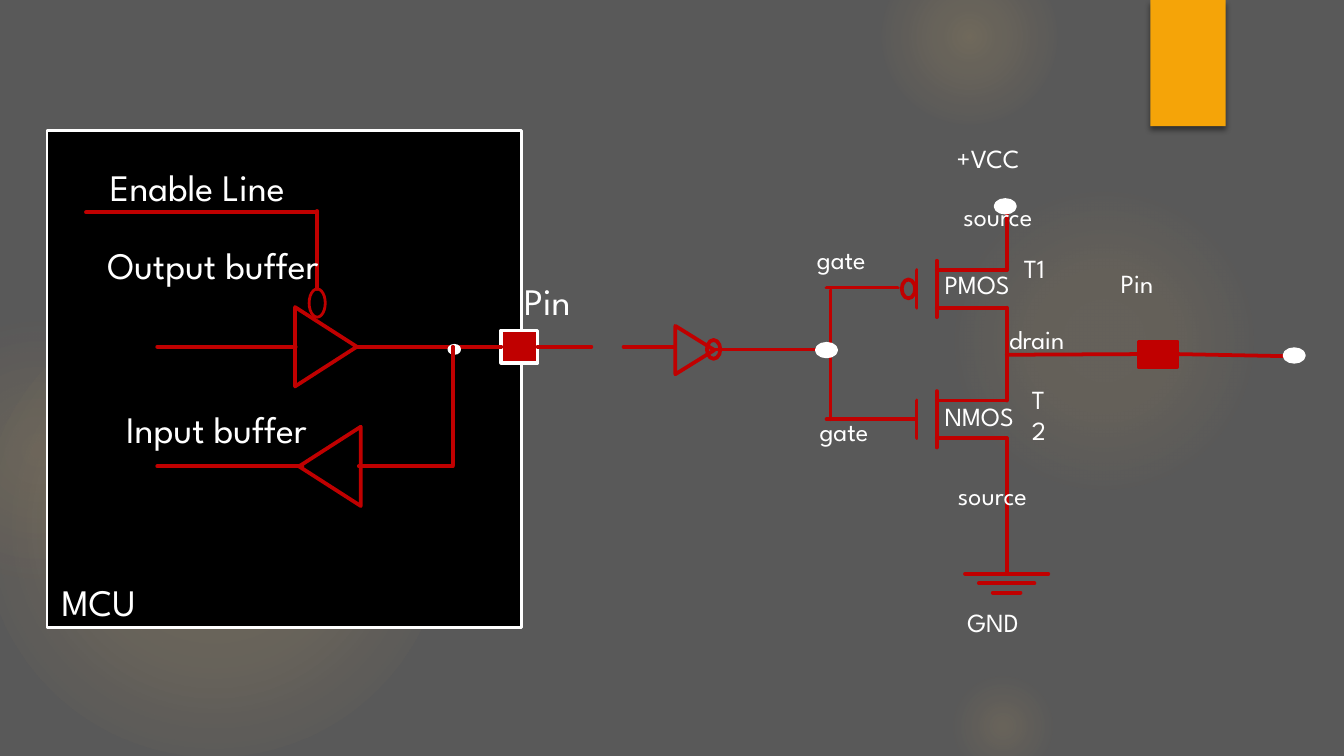
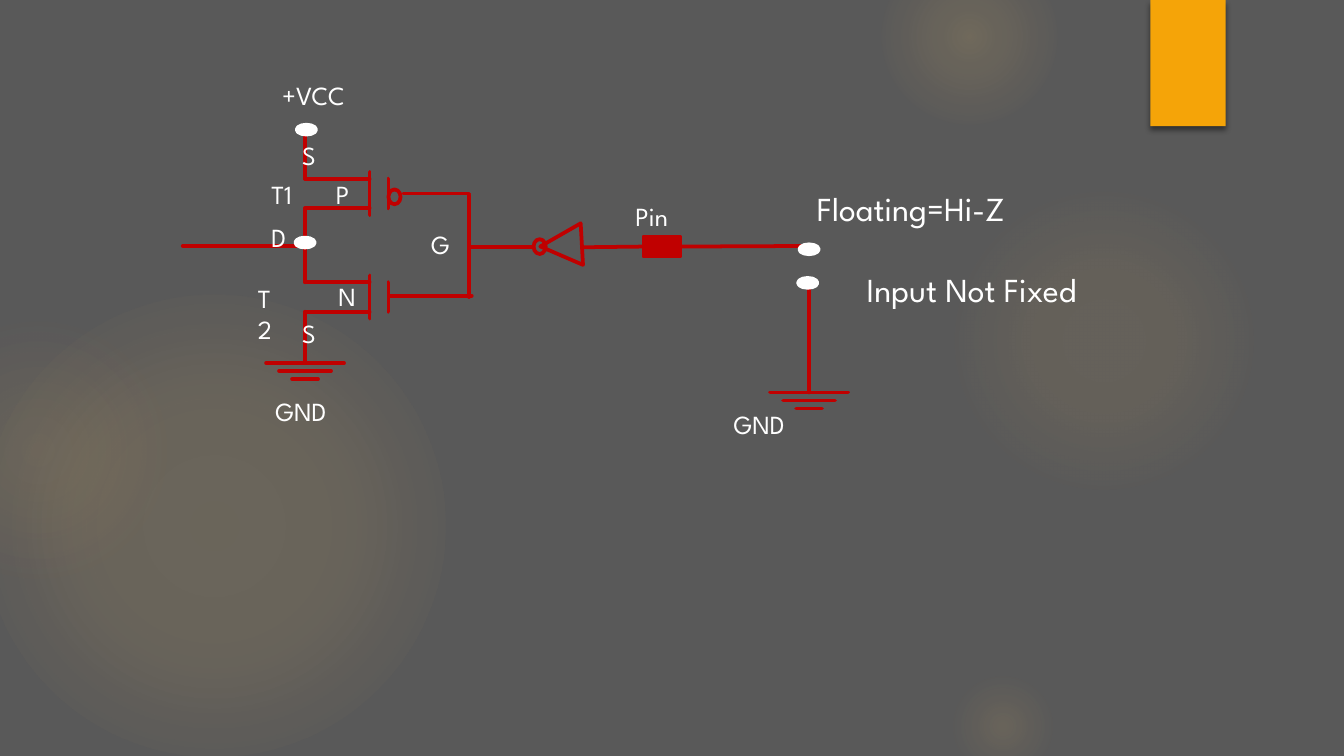
from dataclasses import dataclass
from typing import NamedTuple, Optional

from lxml.etree import SubElement
from pptx import Presentation
from pptx.dml.color import RGBColor
from pptx.enum.shapes import MSO_CONNECTOR as Connector, MSO_SHAPE as Preset
from pptx.enum.text import MSO_ANCHOR as Anchor
from pptx.oxml import parse_xml
from pptx.oxml.ns import nsdecls, qn
from pptx.util import Inches, Pt

SLIDE_WIDTH = Inches(10)
SLIDE_HEIGHT = SLIDE_WIDTH * 9 // 16
GREY = RGBColor(0x59, 0x59, 0x59)
BLACK = RGBColor(0, 0, 0)
WHITE = RGBColor(0xFF, 0xFF, 0xFF)
RED = RGBColor(0xC0, 0, 0)
ORANGE = RGBColor(0xF5, 0xA4, 0x08)
GOLD = RGBColor(0xFA, 0xC9, 0x6A)
CORAL = RGBColor(0xF5, 0x9B, 0x74)
FONT = "League Spartan"
LEFT_SIDE, RIGHT_SIDE = 1, 3
FIRST_MASTER_ID = 100


class Wire(NamedTuple):
    x1: float
    y1: float
    x2: float
    y2: float


class Label(NamedTuple):
    text: str
    left: float
    top: float
    width: float


class Glow(NamedTuple):
    left: float
    top: float
    size: float
    stops: tuple  # (position %, opacity %)
    edge: RGBColor = GOLD


@dataclass
class Transistor:
    channel_x: float
    plate_x: float
    rail_x: float
    top: float
    bottom: float
    overhang: float


@dataclass
class Ground:
    x: float
    y: float
    width: float
    gap: float
    stub: float


GLOWS = [
    Glow(-0.13, 2.19, 3.44, ((0, 11), (36, 10), (75, 0))),
    Glow(-0.69, 2.38, 1.94, ((0, 8), (36, 5), (71, 0)), CORAL),
    Glow(7.06, 1.38, 2.31, ((0, 7), (36, 6), (69, 0))),
    Glow(6.56, -0.38, 1.31, ((0, 14), (36, 7), (73, 0))),
    Glow(7.06, 5, 0.81, ((0, 10), (31, 5), (66, 0))),
]


# Drawing helpers
def add_preset(slide, preset, left: float, top: float, width: float, height: float, *,
               fill: Optional[RGBColor] = None, line: Optional[RGBColor] = RED,
               weight: float = 2, rotation: float = 0):
    shape = slide.shapes.add_shape(preset, Inches(left), Inches(top), Inches(width), Inches(height))
    shape.shadow.inherit = False
    shape.rotation = rotation
    if fill is None:
        shape.fill.background()
    else:
        shape.fill.solid()
        shape.fill.fore_color.rgb = fill
    if line is None:
        shape.line.fill.background()
    else:
        shape.line.color.rgb = line
        shape.line.width = Pt(weight)
    return shape


def add_wire(slide, wire: Wire, start=None, end=None) -> None:
    """Draw a wire; start and end are optional (shape, side) joints."""
    connector = slide.shapes.add_connector(Connector.STRAIGHT, *(Inches(value) for value in wire))
    connector.line.color.rgb = RED
    connector.line.width = Pt(2)
    properties = connector.element.spPr
    properties.find(qn("a:ln")).set("cap", "rnd")
    SubElement(properties, qn("a:effectLst"))
    if start:
        connector.begin_connect(*start)
    if end:
        connector.end_connect(*end)


def add_wires(slide, wires: list[Wire]) -> None:
    for wire in wires:
        add_wire(slide, wire)


def add_text(slide, text: str, left: float, top: float, width: float, *,
             size: float = 14, color: RGBColor = WHITE, height: float = 0.34) -> None:
    box = slide.shapes.add_textbox(Inches(left), Inches(top), Inches(width), Inches(height))
    frame = box.text_frame
    frame.word_wrap = True
    frame.vertical_anchor = Anchor.TOP
    frame.text = text
    font = frame.paragraphs[0].runs[0].font
    font.name, font.size, font.color.rgb = FONT, Pt(size), color


def add_labels(slide, labels: list[Label], **style) -> None:
    for label in labels:
        add_text(slide, *label, **style)


# Circuit symbols
def add_nodes(slide, places: list[tuple[float, float]], height: float) -> None:
    for left, top in places:
        add_preset(slide, Preset.OVAL, left, top, 0.14, height, fill=WHITE, line=WHITE, weight=2.25)


def add_transistor(slide, part: Transistor) -> None:
    channel, plate, rail = part.channel_x, part.plate_x, part.rail_x
    add_wires(slide, [
        Wire(channel, part.top - part.overhang, channel, part.bottom + part.overhang),
        Wire(plate, part.top, plate, part.bottom),
        Wire(channel, part.top, rail, part.top),
        Wire(channel, part.bottom, rail, part.bottom),
    ])


def add_ground(slide, ground: Ground) -> None:
    add_wire(slide, Wire(ground.x, ground.y - ground.stub, ground.x, ground.y))
    for index in range(3):
        half = ground.width * (3 - index) / 6
        y = ground.y + index * ground.gap
        add_wire(slide, Wire(ground.x - half, y, ground.x + half, y))


def add_triangle(slide, left: float, top: float, width: float, height: float, rotation: float) -> None:
    add_preset(slide, Preset.ISOSCELES_TRIANGLE, left, top, width, height, rotation=rotation)


# Shared backdrop, kept on the slide master
def add_glow(slide, glow: Glow):
    shape = add_preset(slide, Preset.OVAL, glow.left, glow.top, glow.size, glow.size, line=None)
    colors = (GOLD, GOLD, glow.edge)
    stops = "".join(
        f'<a:gs pos="{position * 1000}"><a:srgbClr val="{color}">'
        f'<a:alpha val="{opacity * 1000}"/></a:srgbClr></a:gs>'
        for (position, opacity), color in zip(glow.stops, colors))
    gradient = parse_xml(
        f'<a:gradFill {nsdecls("a")}><a:gsLst>{stops}</a:gsLst><a:path path="circle">'
        '<a:fillToRect l="50000" t="50000" r="50000" b="50000"/></a:path></a:gradFill>')
    properties = shape.element.spPr
    properties.replace(properties.find(qn("a:noFill")), gradient)
    return shape


def add_ribbon(slide):
    ribbon = add_preset(slide, Preset.RECTANGLE, 8.56, 0, 0.56, 0.94, fill=ORANGE, line=None)
    ribbon.element.spPr.find(qn("a:effectLst")).append(parse_xml(
        f'<a:outerShdw {nsdecls("a")} blurRad="{Pt(3)}" dist="{Pt(2)}" dir="5400000" rotWithShape="0">'
        f'<a:srgbClr val="{BLACK}"><a:alpha val="45000"/></a:srgbClr></a:outerShdw>'))
    return ribbon


def build_backdrop(presentation, slide) -> None:
    master = presentation.slide_master
    master.background.fill.solid()
    master.background.fill.fore_color.rgb = GREY
    decorations = [add_glow(slide, glow) for glow in GLOWS] + [add_ribbon(slide)]
    for shape_id, shape in enumerate(decorations, FIRST_MASTER_ID):
        shape.element.nvSpPr.cNvPr.set("id", str(shape_id))
        master.shapes.element.append(shape.element)


# Slide 1: microcontroller pin with its buffers
def draw_microcontroller(slide) -> None:
    add_preset(slide, Preset.RECTANGLE, 0.35, 0.97, 3.53, 3.7, fill=BLACK, line=WHITE, weight=1.5)
    add_triangle(slide, 2.16, 3.24, 0.59, 0.46, 270)
    add_triangle(slide, 2.13, 2.35, 0.59, 0.46, 90)
    add_preset(slide, Preset.OVAL, 2.3, 2.15, 0.12, 0.21, weight=1.5)
    add_wires(slide, [
        Wire(1.17, 3.47, 2.25, 3.47),
        Wire(3.37, 3.47, 2.67, 3.47),
        Wire(1.17, 2.58, 2.2, 2.58),
        Wire(0.64, 1.58, 2.36, 1.58),
        Wire(2.36, 2.15, 2.36, 1.57),
    ])
    pin = add_preset(slide, Preset.RECTANGLE, 3.73, 2.46, 0.27, 0.24, fill=RED, line=WHITE)
    add_wire(slide, Wire(3.73, 2.58, 2.66, 2.58), start=(pin, LEFT_SIDE))
    add_preset(slide, Preset.OVAL, 3.34, 2.57, 0.08, 0.06, fill=WHITE, line=WHITE, weight=1.5)
    add_wire(slide, Wire(3.37, 3.46, 3.37, 2.58))
    add_wire(slide, Wire(4.4, 2.58, 4, 2.58), end=(pin, RIGHT_SIDE))
    add_labels(slide, [
        Label("Enable Line", 0.72, 1.17, 1.76),
        Label("Output buffer", 0.7, 1.75, 2.05),
        Label("Input buffer", 0.84, 2.97, 1.77),
        Label("Pin", 3.8, 2.02, 0.6),
        Label("MCU", 0.36, 4.26, 0.87),
    ], size=20, height=0.44)


# Slide 1: push-pull output stage
def draw_output_stage(slide) -> None:
    rail = 7.49
    for top in (2.01, 2.98):
        add_transistor(slide, Transistor(6.97, 6.82, rail, top, top + 0.28, 0.07))
    add_preset(slide, Preset.OVAL, 6.71, 2.08, 0.1, 0.14)
    add_wires(slide, [
        Wire(6.81, 3.12, 6.15, 3.12),
        Wire(6.68, 2.14, 6.15, 2.14),
        Wire(6.18, 2.16, 6.18, 3.12),
        Wire(5.31, 2.6, 6.08, 2.6),
        Wire(rail, 2.29, rail, 2.98),
        Wire(rail, 3.26, rail, 4.19),
        Wire(rail, 1.59, rail, 2.01),
    ])
    add_ground(slide, Ground(rail, 4.27, 0.62, 0.07, 0.08))
    pin = add_preset(slide, Preset.RECTANGLE, 8.47, 2.54, 0.29, 0.19, fill=RED)
    add_wire(slide, Wire(rail, 2.64, 8.47, 2.63), end=(pin, LEFT_SIDE))
    add_wire(slide, Wire(8.76, 2.65, 9.56, 2.65), start=(pin, RIGHT_SIDE))
    add_nodes(slide, [(6.08, 2.56), (9.56, 2.6), (7.41, 1.49)], 0.09)
    add_triangle(slide, 4.99, 2.46, 0.36, 0.29, 90)
    add_preset(slide, Preset.OVAL, 5.26, 2.53, 0.1, 0.14)
    add_wire(slide, Wire(4.64, 2.58, 5.02, 2.58))
    add_labels(slide, [
        Label("GND", 7.1, 4.46, 0.66),
        Label("+VCC", 7.02, 1.01, 0.78),
        Label("Pin", 8.24, 1.94, 0.48),
        Label("T1", 7.52, 1.83, 0.39),
        Label("T2", 7.58, 2.8, 0.39),
        Label("gate", 5.98, 1.76, 0.66),
        Label("gate", 6, 3.04, 0.66),
        Label("source", 7.03, 3.52, 0.84),
        Label("source", 7.07, 1.44, 0.84),
        Label("drain", 7.41, 2.36, 0.69),
        Label("PMOS", 6.93, 1.95, 0.77),
        Label("NMOS", 6.93, 2.93, 0.8),
    ])


# Slide 2: input stage with a floating pin
def draw_floating_input(slide) -> None:
    rail, switch = 2.27, 6.02
    for top in (1.33, 2.1):
        add_transistor(slide, Transistor(2.75, 2.89, rail, top, top + 0.22, 0.05))
    add_preset(slide, Preset.OVAL, 2.89, 1.41, 0.09, 0.11)
    add_wires(slide, [
        Wire(2.9, 2.2, 3.51, 2.2),
        Wire(3, 1.44, 3.49, 1.44),
        Wire(3.49, 1.45, 3.49, 2.21),
        Wire(rail, 1.55, rail, 2.1),
        Wire(rail, 2.32, rail, 2.64),
        Wire(rail, 1, rail, 1.33),
        Wire(rail, 1.83, 1.36, 1.83),
        Wire(3.96, 1.84, 3.5, 1.84),
        Wire(switch, 2.13, switch, 2.89),
    ])
    pin = add_preset(slide, Preset.RECTANGLE, 4.79, 1.76, 0.27, 0.15, fill=RED)
    add_wire(slide, Wire(6.07, 1.83, 5.06, 1.83), end=(pin, RIGHT_SIDE))
    add_wire(slide, Wire(4.79, 1.84, 4.34, 1.84), start=(pin, LEFT_SIDE))
    for x, y in ((rail, 2.7), (switch, 2.92)):
        add_ground(slide, Ground(x, y, 0.58, 0.06, 0.06))
    add_nodes(slide, [(2.21, 0.93), (5.95, 1.82), (2.2, 1.77), (5.94, 2.07)], 0.07)
    add_triangle(slide, 4.02, 1.67, 0.31, 0.31, 266.8)
    add_preset(slide, Preset.OVAL, 3.97, 1.78, 0.09, 0.11)
    add_labels(slide, [
        Label("Floating=Hi-Z", 5.98, 1.35, 1.75),
        Label("Input Not Fixed", 6.35, 1.95, 2.04),
    ], size=18, height=0.4)
    add_labels(slide, [
        Label("GND", 5.36, 2.99, 0.66),
        Label("Pin", 4.63, 1.44, 0.48),
        Label("+VCC", 2, 0.54, 0.78),
        Label("T1", 1.92, 1.28, 0.39),
        Label("T2", 1.82, 2.05, 0.39),
        Label("GND", 1.95, 2.89, 0.66),
        Label("G", 3.11, 1.65, 0.37),
        Label("S", 2.15, 0.99, 0.3),
        Label("S", 2.15, 2.31, 0.3),
        Label("D", 1.92, 1.6, 0.35),
        Label("P", 2.4, 1.28, 0.32),
        Label("N", 2.42, 2.04, 0.35),
    ], height=0.29)


def main() -> None:
    presentation = Presentation()
    presentation.slide_width, presentation.slide_height = SLIDE_WIDTH, SLIDE_HEIGHT
    blank = presentation.slide_layouts[6]
    output_slide, input_slide = (presentation.slides.add_slide(blank) for _ in range(2))
    build_backdrop(presentation, output_slide)
    draw_microcontroller(output_slide)
    draw_output_stage(output_slide)
    draw_floating_input(input_slide)
    presentation.save("out.pptx")


if __name__ == "__main__":
    main()
